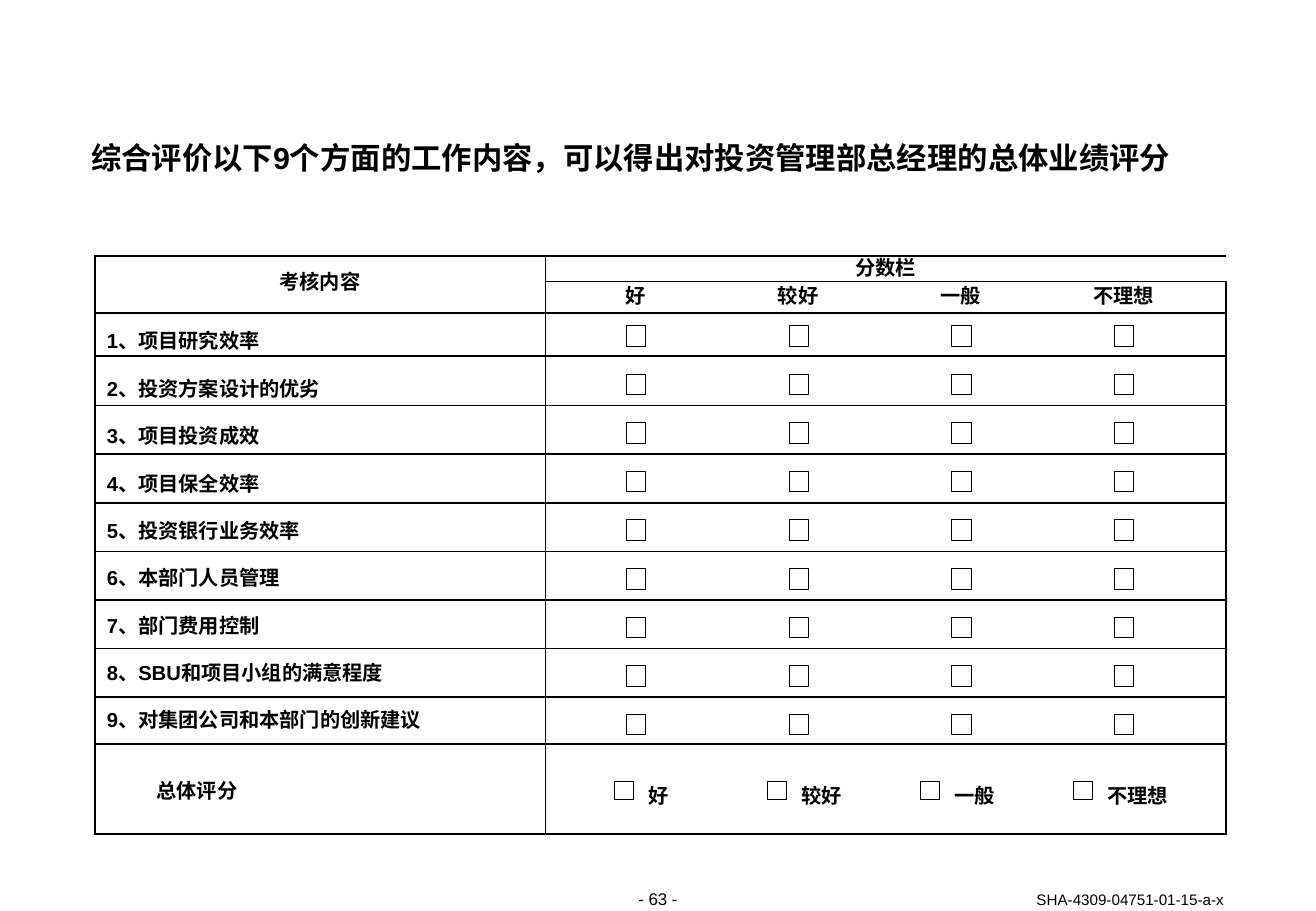
from itertools import pairwise
from lxml import etree
from pptx import Presentation
from pptx import util as u
from pptx.dml.color import RGBColor
from pptx.enum import shapes, text
from pptx.oxml import ns

TITLE = "综合评价以下9个方面的工作内容，可以得出对投资管理部总经理的总体业绩评分"
CONTENT_HEAD, SCORE_HEAD, TOTAL = "考核内容", "分数栏", "总体评分"
RATINGS = ["好", "较好", "一般", "不理想"]
CRITERIA = [
    "1、项目研究效率",
    "2、投资方案设计的优劣",
    "3、项目投资成效",
    "4、项目保全效率",
    "5、投资银行业务效率",
    "6、本部门人员管理",
    "7、部门费用控制",
    "8、SBU和项目小组的满意程度",
    "9、对集团公司和本部门的创新建议",
]
PAGE_NUMBER, DOCUMENT_CODE = "- 63 -", "SHA-4309-04751-01-15-a-x"

BLACK, WHITE = "000000", "FFFFFF"
LEFT, CENTER, RIGHT = text.PP_ALIGN.LEFT, text.PP_ALIGN.CENTER, text.PP_ALIGN.RIGHT
TOP, MIDDLE, BOTTOM = text.MSO_ANCHOR.TOP, text.MSO_ANCHOR.MIDDLE, text.MSO_ANCHOR.BOTTOM

COLUMN_EDGES = [0.78, 4.49, 5.91, 7.25, 8.59, 10.1]
ROW_EDGES = [2.11, 2.32, 2.58] + [2.93 + 0.4 * i + 0.01 * (i > 0) for i in range(8)] + [6.13, 6.87]
FIRST, LAST = 2, len(ROW_EDGES) - 2
THICK_EDGES = {0, FIRST, LAST, LAST + 1}
RATING_LEFT, RATING_PITCH, RATING_WIDTH = 4.81, 1.34, 0.85
TOTAL_BOX_LEFT, TOTAL_LABEL_LEFT, TOTAL_PITCH = 5.06, 5.34, 1.26

deck = Presentation()
deck.slide_width, deck.slide_height = u.Inches(10.84), u.Inches(7.5)
slide = deck.slides.add_slide(deck.slide_layouts[6])


def color(hex_code):
    return RGBColor.from_string(hex_code)


def write(frame, words, size, bold, align, spacing=None):
    line = frame.paragraphs[0]
    line.text = words
    line.alignment = align
    if spacing:
        line.line_spacing = u.Pt(spacing)
    line.font.name, line.font.size, line.font.bold = "Arial", u.Pt(size), bold
    line.font.color.rgb = color(BLACK)


def label(left, top, width, height, words, size, bold=False, align=LEFT, anchor=TOP, spacing=None):
    frame = slide.shapes.add_textbox(*map(u.Inches, (left, top, width, height))).text_frame
    frame.margin_left = frame.margin_right = frame.margin_top = frame.margin_bottom = 0
    frame.word_wrap = True
    frame.vertical_anchor = anchor
    write(frame, words, size, bold, align, spacing)


def checkbox(left, top, height):
    box = slide.shapes.add_shape(
        shapes.MSO_SHAPE.RECTANGLE, *map(u.Inches, (left, top, 0.16, height)))
    box.shadow.inherit = False
    box.fill.solid()
    box.fill.fore_color.rgb = color(WHITE)
    box.line.color.rgb = color(BLACK)
    box.line.width = u.Pt(0.5)


def horizontal_edge(edge, column):
    if edge in THICK_EDGES:
        return 1.5
    if edge == 1:
        return 0.5 if column else 0
    return 1


def vertical_edge(edge):
    return {0: 1.5, 1: 0.5, len(COLUMN_EDGES) - 1: 1.5}.get(edge, 0)


def set_borders(cell, row, column):
    properties = cell._tc.get_or_add_tcPr()
    widths = {
        "a:lnL": vertical_edge(column),
        "a:lnR": vertical_edge(column + 1),
        "a:lnT": horizontal_edge(row, column),
        "a:lnB": horizontal_edge(row + 1, column),
    }
    for side, points in widths.items():
        border = etree.SubElement(properties, ns.qn(side), w=str(u.Pt(points)))
        if points:
            fill = etree.SubElement(border, ns.qn("a:solidFill"))
            etree.SubElement(fill, ns.qn("a:srgbClr"), val=BLACK)
        else:
            etree.SubElement(border, ns.qn("a:noFill"))


def fill_cell(row, column, words, align=LEFT, anchor=TOP, left=0, top=0, right=0, spacing=None):
    cell = table.cell(row, column)
    cell.margin_left, cell.margin_top, cell.margin_right = map(u.Inches, (left, top, right))
    cell.vertical_anchor = anchor
    write(cell.text_frame, words, 12, True, align, spacing)


label(0.75, 1.17, 9.6, 0.28, TITLE, 18, True, spacing=20)

table = slide.shapes.add_table(
    len(ROW_EDGES) - 1, len(COLUMN_EDGES) - 1,
    u.Inches(COLUMN_EDGES[0]), u.Inches(ROW_EDGES[0]),
    u.Inches(COLUMN_EDGES[-1] - COLUMN_EDGES[0]), u.Inches(ROW_EDGES[-1] - ROW_EDGES[0])).table
table.first_row = table.horz_banding = False
for column, (start, end) in zip(table.columns, pairwise(COLUMN_EDGES)):
    column.width = u.Inches(end - start)
for row, (start, end) in zip(table.rows, pairwise(ROW_EDGES)):
    row.height = u.Inches(end - start)

for r in range(len(table.rows)):
    for c in range(len(table.columns)):
        cell = table.cell(r, c)
        cell.margin_left = cell.margin_right = cell.margin_top = cell.margin_bottom = 0
        set_borders(cell, r, c)
        cell.fill.background()

table.cell(0, 0).merge(table.cell(1, 0))
table.cell(0, 1).merge(table.cell(0, len(RATINGS)))
fill_cell(0, 0, CONTENT_HEAD, CENTER, MIDDLE, spacing=12)
fill_cell(0, 1, SCORE_HEAD, CENTER, BOTTOM, spacing=12)

for i, criterion in enumerate(CRITERIA):
    text_top = 2.68 + 0.39 * i
    fill_cell(FIRST + i, 0, criterion, left=0.1, top=text_top - ROW_EDGES[FIRST + i])

fill_cell(LAST, 0, TOTAL, left=0.51, top=0.25)
for i, rating in enumerate(RATINGS):
    start, end = COLUMN_EDGES[i + 1:i + 3]
    rating_left = RATING_LEFT + RATING_PITCH * i
    fill_cell(1, i + 1, rating, CENTER, left=rating_left - start, top=0.06,
              right=end - rating_left - RATING_WIDTH, spacing=12)
    fill_cell(LAST, i + 1, rating, left=TOTAL_LABEL_LEFT + TOTAL_PITCH * i - start, top=0.29)
    for n in range(len(CRITERIA)):
        checkbox(rating_left + 0.35, 2.68 + 0.4 * n, 0.17)
    checkbox(TOTAL_BOX_LEFT + TOTAL_PITCH * i, 6.43, 0.15)

label(4.85, 7.32, 1.14, 0.17, PAGE_NUMBER, 10, align=CENTER)
label(7.64, 7.33, 2.44, 0.15, DOCUMENT_CODE, 9, align=RIGHT, anchor=BOTTOM, spacing=11)

deck.save("out.pptx")
